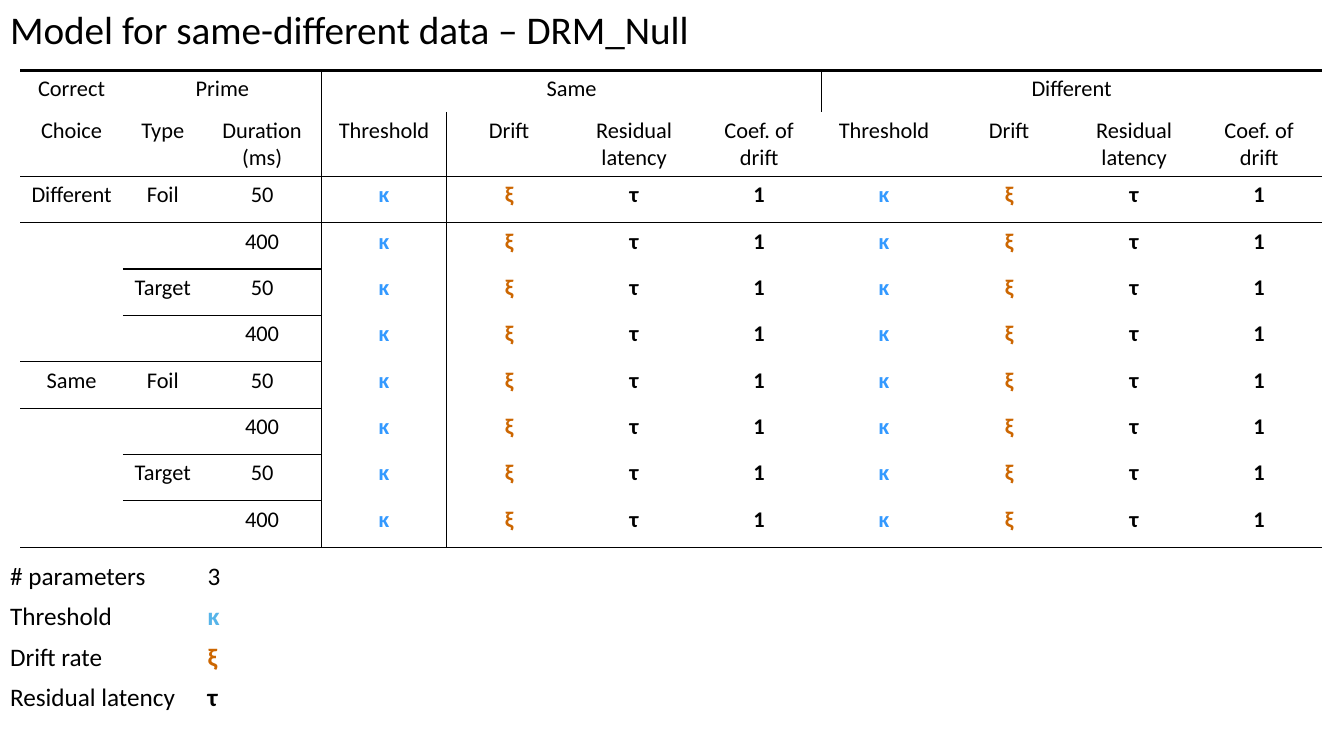
from lxml import etree
from pptx import Presentation, util as u
from pptx.dml.color import RGBColor
from pptx.enum import text
from pptx.oxml.ns import qn

PX = 9144  # 100 px to the inch
FONT = "Calibri"
C = {"black": "000000", "white": "FFFFFF", "threshold": "3399FF",
     "key_threshold": "56B4E9", "drift": "CC6600"}
PLAIN_STYLE = "{2D5ABB26-0587-4C30-8999-92F81FD0307C}"
THICK, THIN = 2.25, 1

# Cell entries: wording, colour name, bold
SYMBOLS = [("κ", "threshold", True), ("ξ", "drift", True),
           ("τ", "black", True), ("1", "black", True)]
MEASURES = ["Threshold", "Drift", "Residual latency", "Coef. of\ndrift"]
KEY = [("# parameters", ("3", "black", False)),
       ("Threshold", ("κ", "key_threshold", True)),
       ("Drift rate", ("ξ", "drift", True)),
       ("Residual latency", ("τ", "black", True))]


def write(tf, words, size, color="black", bold=False, align=text.PP_ALIGN.LEFT):
    for i, line in enumerate(words.split("\n")):
        p = tf.paragraphs[0] if i == 0 else tf.add_paragraph()
        p.alignment = align
        r = p.add_run()
        r.text = line
        r.font.name, r.font.size, r.font.bold = FONT, u.Pt(size), bold
        r.font.color.rgb = RGBColor.from_string(C[color])


def add_plain_table(s, x, y, cols, rows):
    frame = s.shapes.add_table(len(rows), len(cols), x * PX, y * PX,
                               sum(cols) * PX, sum(rows) * PX)
    table = frame.table
    table.first_row = table.horz_banding = False
    table._tbl.tblPr.find(qn("a:tableStyleId")).text = PLAIN_STYLE
    for col, width in zip(table.columns, cols):
        col.width = width * PX
    for row, height in zip(table.rows, rows):
        row.height = height * PX
    return table


def add_border(cell, side, width):
    ln = etree.SubElement(cell._tc.get_or_add_tcPr(), qn("a:ln" + side),
                          w=str(u.Pt(width)))
    fill = etree.SubElement(ln, qn("a:solidFill"))
    etree.SubElement(fill, qn("a:srgbClr"), val=C["black"])


def add_title(s, x, y, w, h):
    sp = s.shapes.title
    sp.left, sp.top, sp.width, sp.height = (v * PX for v in (x, y, w, h))
    tf = sp.text_frame
    tf.word_wrap = False
    tf.auto_size = text.MSO_AUTO_SIZE.SHAPE_TO_FIT_TEXT
    tf.vertical_anchor = text.MSO_ANCHOR.TOP
    write(tf, "Model for same-different data – DRM_Null", 28)


def condition_rows():
    """Eight rows: choice x prime type x duration, naming each group once."""
    for choice in ("Different", "Same"):
        for kind in ("Foil", "Target"):
            for duration in ("50", "400"):
                first = duration == "50"
                yield [choice if first and kind == "Foil" else "",
                       kind if first else "", duration] + SYMBOLS * 2


def rule_columns(row, count):
    """Columns that have a rule below the given row."""
    if row == 0:
        return range(0)
    if row in (1, 9):
        return range(count)
    done = row - 1  # condition rows finished so far
    start = 0 if done % 4 == 0 else 1 if done % 2 == 0 else 2
    return range(start, 3)


def add_model_table(s, x, y):
    cols = [102, 79, 118] + [124] * 8
    table = add_plain_table(s, x, y, cols, [41, 64] + [46] * 8)
    content = [["Correct", "Prime", "", "Same", "", "", "", "Different", "", "", ""],
               ["Choice", "Type", "Duration (ms)"] + MEASURES * 2,
               *condition_rows()]
    for i, row in enumerate(content):
        for j, entry in enumerate(row):
            cell = table.cell(i, j)
            if entry:
                parts = (entry,) if isinstance(entry, str) else entry
                write(cell.text_frame, parts[0], 16, *parts[1:],
                      align=text.PP_ALIGN.CENTER)
            # Borders: left divider, top rule, bottom rule
            if j == 3:
                add_border(cell, "L", THIN)
            if i == 0:
                add_border(cell, "T", THICK)
            elif j in rule_columns(i - 1, len(cols)):
                add_border(cell, "T", THIN)
            if j in rule_columns(i, len(cols)):
                add_border(cell, "B", THIN)
            cell.fill.background()
    # Group headings span their columns
    for first, last in ((1, 2), (3, 6), (7, 10)):
        table.cell(0, first).merge(table.cell(0, last))


def add_parameter_key(s, x, y):
    table = add_plain_table(s, x, y, [196, 1126], [40] * len(KEY))
    for i, (label, symbol) in enumerate(KEY):
        write(table.cell(i, 0).text_frame, label, 18)
        write(table.cell(i, 1).text_frame, symbol[0], 18, *symbol[1:])
        for j in range(2):
            cell = table.cell(i, j)
            cell.fill.solid()
            cell.fill.fore_color.rgb = RGBColor.from_string(C["white"])


def main():
    prs = Presentation()
    prs.slide_width, prs.slide_height = 1333 * PX, 750 * PX
    s = prs.slides.add_slide(prs.slide_layouts[5])
    add_title(s, 0, 0, 702, 57)
    add_model_table(s, 20, 70)
    add_parameter_key(s, 0, 552)
    prs.save("out.pptx")


if __name__ == "__main__":
    main()
